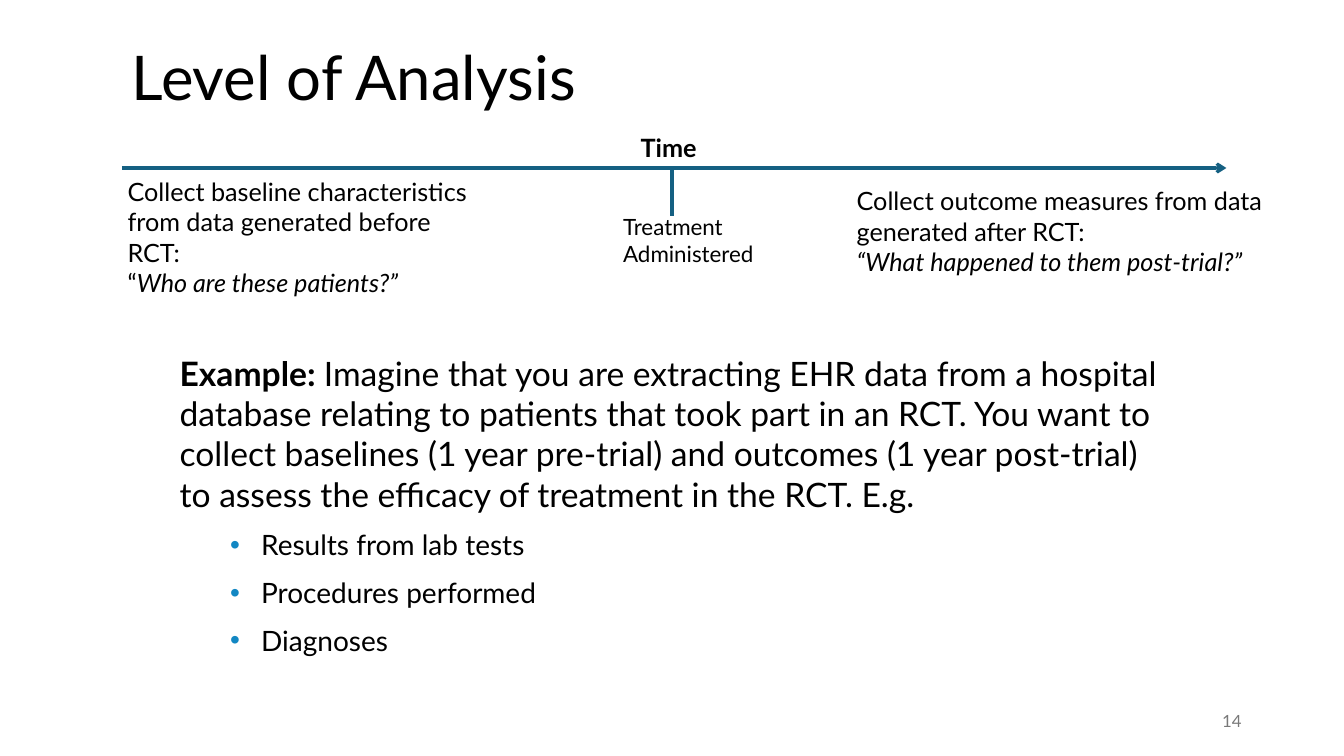
from dataclasses import dataclass

from lxml.etree import SubElement as Sub
from pptx import Presentation
from pptx.dml.color import RGBColor as Color
from pptx.enum.shapes import MSO_CONNECTOR as Link
from pptx.enum.text import MSO_ANCHOR as Anchor, PP_ALIGN as Align
from pptx.oxml.ns import qn
from pptx.util import Emu, Inches, Pt

COLS, ROWS = 160, 90
WIDTH, HEIGHT = Inches(13.33), Inches(7.5)
FONT = "Lato"
BLACK = Color(0x00, 0x00, 0x00)
GREY = Color(0x79, 0x79, 0x79)
TEAL = Color(0x15, 0x60, 0x82)
BLUE = Color(0x12, 0x87, 0xC3)
AXIS = 20
MIDDLE = COLS / 2


@dataclass(frozen=True)
class Span:
    text: str
    bold: bool = False
    slant: bool = False


@dataclass(frozen=True)
class Para:
    spans: tuple[Span, ...]
    size: float = 18
    before: float = 0
    after: float = 0
    lines: float = 1
    bullet: bool = False


@dataclass(frozen=True)
class Box:
    left: float
    top: float
    wide: float
    high: float
    paras: tuple[Para, ...]
    color: Color = BLACK
    align: Align = Align.LEFT
    anchor: Anchor = Anchor.TOP


@dataclass(frozen=True)
class Line:
    left: float
    top: float
    right: float
    base: float
    arrow: bool = False


def across(cols: float) -> Emu:
    return Emu(round(WIDTH * cols / COLS))


def down(rows: float) -> Emu:
    return Emu(round(HEIGHT * rows / ROWS))


def plain(text: str, size: float = 18, **extra) -> Para:
    return Para((Span(text),), size, **extra)


def add_bullet(para) -> None:
    props = para._p.get_or_add_pPr()
    props.set("lvl", "1")
    props.set("marL", str(across(9.7)))
    props.set("indent", str(-across(3.7)))
    tint = Sub(Sub(props, qn("a:buClr")), qn("a:srgbClr"))
    tint.set("val", str(BLUE))
    Sub(props, qn("a:buFont")).set("typeface", "Arial")
    Sub(props, qn("a:buChar")).set("char", "•")


def draw_box(slide, box: Box) -> None:
    shape = slide.shapes.add_textbox(
        across(box.left), down(box.top), across(box.wide), down(box.high))
    frame = shape.text_frame
    frame.word_wrap = True
    frame.vertical_anchor = box.anchor
    for index, item in enumerate(box.paras):
        para = frame.add_paragraph() if index else frame.paragraphs[0]
        para.alignment = box.align
        para.line_spacing = item.lines
        para.space_before = Pt(item.before)
        para.space_after = Pt(item.after)
        if item.bullet:
            add_bullet(para)
        for span in item.spans:
            run = para.add_run()
            run.text = span.text
            font = run.font
            font.name, font.size = FONT, Pt(item.size)
            font.bold, font.italic = span.bold, span.slant
            font.color.rgb = box.color


def draw_line(slide, line: Line) -> None:
    shape = slide.shapes.add_connector(
        Link.STRAIGHT, across(line.left), down(line.top),
        across(line.right), down(line.base))
    shape.line.color.rgb = TEAL
    shape.line.width = Pt(2.25)
    if line.arrow:
        Sub(shape.line._get_or_add_ln(), qn("a:tailEnd")).set("type", "arrow")
    Sub(shape._element.spPr, qn("a:effectLst"))


EXAMPLE = Para((
    Span("Example: ", bold=True),
    Span("Imagine that you are extracting EHR data from a hospital database "
         "relating to patients that took part in an RCT. You want to collect "
         "baselines (1 year pre-trial) and outcomes (1 year post-trial) to "
         "assess the efficacy of treatment in the RCT. E.g."),
), 24, before=4.8, after=6)

ITEMS = tuple(
    plain(text, 20, before=4, after=6, bullet=True)
    for text in ("Results from lab tests", "Procedures performed", "Diagnoses"))

LINES = (
    Line(14.5, AXIS, 146, AXIS, arrow=True),
    Line(MIDDLE, AXIS, MIDDLE, 25.7),
)

BOXES = (
    Box(14.5, 4.8, 131.5, 9.5, (plain("Level of Analysis", 44, lines=0.9),),
        anchor=Anchor.MIDDLE),
    Box(113, 83.4, 36, 4.8, (plain("14", 12),), GREY, Align.RIGHT,
        Anchor.MIDDLE),
    Box(14, 20.4, 45.2, 12.1, (
        plain("Collect baseline characteristics from data generated before RCT:"),
        Para((Span("“"), Span("Who are these patients?”", slant=True))))),
    Box(100.8, 21.5, 54.7, 12.1, (
        plain("Collect outcome measures from data generated after RCT:"),
        Para((Span("“What happened to them post-trial?”", slant=True),)))),
    Box(75.1, 15.2, 10.2, 4.8, (Para((Span("Time", bold=True),)),)),
    Box(73, 24.8, 19.2, 7.7, (plain("Treatment Administered", 16),)),
    Box(20.2, 41.4, 120.1, 38.2, (EXAMPLE, *ITEMS)),
)


def main() -> None:
    deck = Presentation()
    deck.slide_width, deck.slide_height = WIDTH, HEIGHT
    slide = deck.slides.add_slide(deck.slide_layouts[6])
    for line in LINES:
        draw_line(slide, line)
    for box in BOXES:
        draw_box(slide, box)
    deck.save("out.pptx")


if __name__ == "__main__":
    main()
